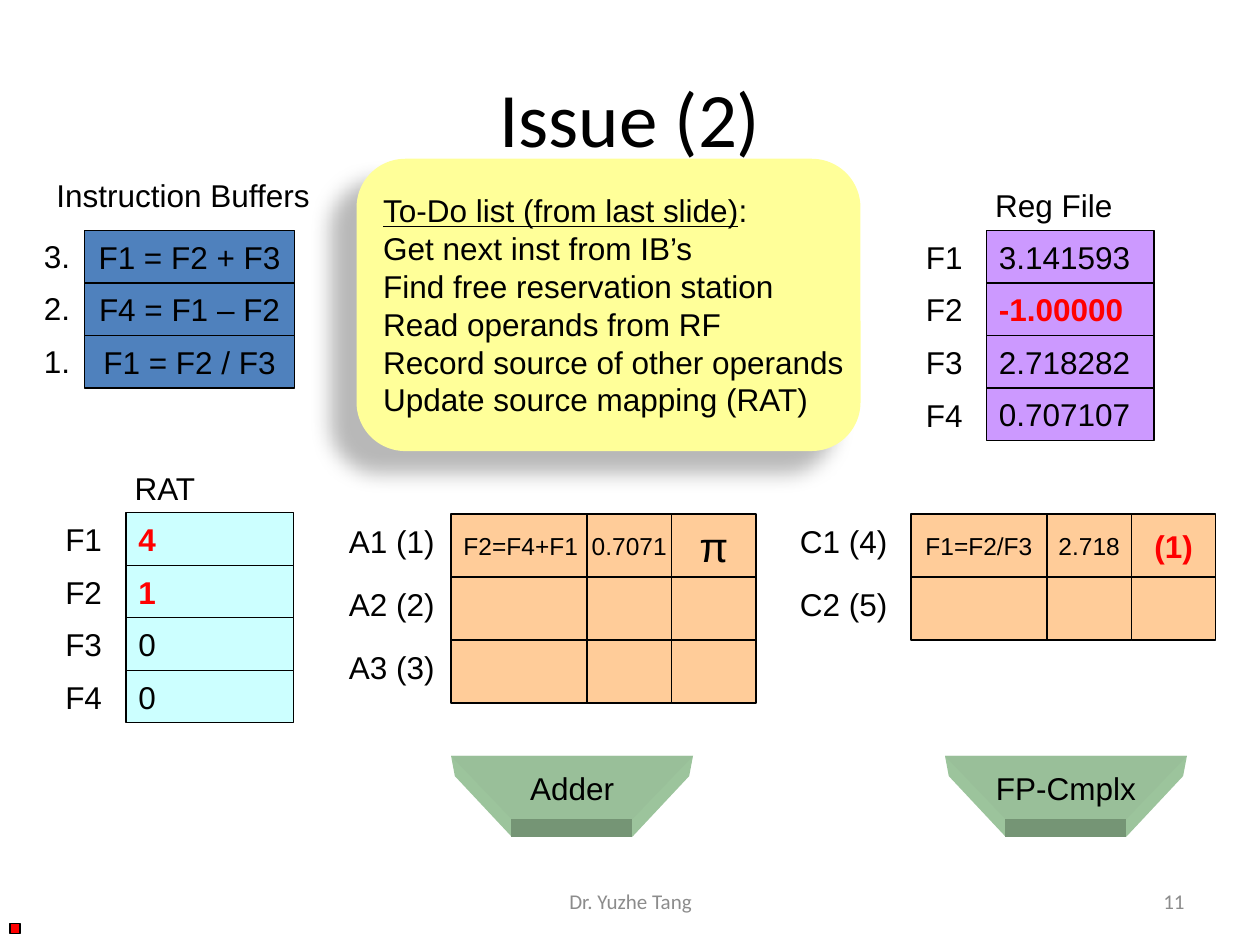
from dataclasses import dataclass

import pptx
import pptx.dml.color
import pptx.enum.shapes
import pptx.enum.text
import pptx.oxml
import pptx.oxml.ns
import pptx.util
from pptx.util import Inches

COLORS = {
    "black": "000000", "red": "FF0000", "grey": "8C8C8C",
    "buffer": "4F81BD", "rat": "CCFFFF", "station": "FFCC99", "register": "CC99FF",
    "note": "FFFF99", "unit": "99BF99", "unit_side": "9CC49C", "unit_base": "759575",
}
ALIGN = pptx.enum.text.PP_ALIGN
ANCHOR = pptx.enum.text.MSO_ANCHOR
RECTANGLE = pptx.enum.shapes.MSO_SHAPE.RECTANGLE
ROUNDED = pptx.enum.shapes.MSO_SHAPE.ROUNDED_RECTANGLE
ROW_HEIGHT = 5 / 12
STATION_HEIGHT = 0.5
STATION_COLUMNS = ((0, 1.08), (1.08, 0.67), (1.75, 0.67))
SHADOW = (
    '<a:effectLst xmlns:a="http://schemas.openxmlformats.org/drawingml/2006/main">'
    '<a:outerShdw blurRad="149860" dist="250190" dir="8460000" algn="ctr" rotWithShape="0">'
    '<a:srgbClr val="000000"><a:alpha val="28000"/></a:srgbClr>'
    '</a:outerShdw></a:effectLst>'
)


@dataclass
class Text:
    content: str
    size: int = 18
    color: str = "black"
    bold: bool = False
    align: ALIGN = ALIGN.LEFT
    font: str = "Arial"


@dataclass
class Register:
    name: str
    value: str
    changed: bool = False


@dataclass
class Station:
    label: str
    values: tuple = (None, None, None)


def rgb(name: str):
    return pptx.dml.color.RGBColor.from_string(COLORS[name])


def add_run(paragraph, text: Text):
    run = paragraph.add_run()
    run.text = text.content
    formats = {"name": text.font, "size": pptx.util.Pt(text.size), "bold": text.bold}
    for name, value in formats.items():
        setattr(run.font, name, value)
    run.font.color.rgb = rgb(text.color)
    return run


def write(shape, text: Text, wrap: bool = False, anchor=ANCHOR.MIDDLE):
    frame = shape.text_frame
    for name, value in {"word_wrap": wrap, "vertical_anchor": anchor}.items():
        setattr(frame, name, value)
    frame.paragraphs[0].alignment = text.align
    add_run(frame.paragraphs[0], text)


def paint(shape, fill: str, outlined: bool = False):
    shape.shadow.inherit = False
    shape.fill.solid()
    shape.fill.fore_color.rgb = rgb(fill)
    if outlined:
        shape.line.color.rgb = rgb("black")
        shape.line.width = pptx.util.Pt(0.75)
    else:
        shape.line.fill.background()


def add_cell(slide, left: float, top: float, width: float, height: float,
             fill: str, text: Text | None = None):
    shape = slide.shapes.add_shape(
        RECTANGLE, Inches(left), Inches(top), Inches(width), Inches(height))
    paint(shape, fill, outlined=True)
    if text:
        write(shape, text)


def add_label(slide, left: float, top: float, width: float, content: str):
    box = slide.shapes.add_textbox(Inches(left), Inches(top), Inches(width), Inches(0.4))
    write(box, Text(content), anchor=ANCHOR.TOP)
    box.text_frame.auto_size = pptx.enum.text.MSO_AUTO_SIZE.SHAPE_TO_FIT_TEXT


def add_wrapped_text(slide, left: float, top: float, width: float, height: float, text: Text):
    box = slide.shapes.add_textbox(Inches(left), Inches(top), Inches(width), Inches(height))
    write(box, text, wrap=True)


def add_registers(slide, left: float, top: float, label_left: float, fill: str,
                  registers: list[Register]):
    for index, register in enumerate(registers):
        row_top = top + index * ROW_HEIGHT
        color = "red" if register.changed else "black"
        add_cell(slide, left, row_top, 1.33, ROW_HEIGHT, fill,
                 Text(register.value, color=color, bold=register.changed))
        add_label(slide, label_left, row_top + 0.01, 0.5, register.name)


def add_stations(slide, left: float, label_left: float, label_width: float,
                 stations: list[Station]):
    for index, station in enumerate(stations):
        top = 4.08 + index * STATION_HEIGHT
        add_label(slide, label_left, top + 0.01, label_width, station.label)
        for (offset, width), text in zip(STATION_COLUMNS, station.values):
            add_cell(slide, left + offset, top, width, STATION_HEIGHT, "station", text)


def add_polygon(slide, points: list[tuple[float, float]], fill: str):
    corners = [(Inches(x), Inches(y)) for x, y in points]
    builder = slide.shapes.build_freeform(*corners[0], scale=1.0)
    builder.add_line_segments(corners[1:], close=True)
    shape = builder.convert_to_shape()
    paint(shape, fill)
    return shape


def add_unit(slide, left: float, name: str):
    """Draw a trapezoid functional unit with some depth below it."""
    top, bottom, base, right = 6, 6.5, 6.64, left + 1.92
    inner_left, inner_right = left + 0.48, right - 0.48
    add_polygon(slide, [(left, top), (right, top), (right - 0.03, 6.16), (inner_right, base),
                        (inner_left, base), (left + 0.03, 6.16)], "unit_side")
    add_polygon(slide, [(inner_left, bottom), (inner_right, bottom),
                        (inner_right, base), (inner_left, base)], "unit_base")
    face = add_polygon(slide, [(left, top), (inner_left, bottom),
                               (inner_right, bottom), (right, top)], "unit")
    write(face, Text(name, align=ALIGN.CENTER))


def add_note(slide, heading: str, items: list[str]):
    note = slide.shapes.add_shape(
        ROUNDED, Inches(2.83), Inches(1.26), Inches(4), Inches(2.32))
    note.adjustments[0] = 0.167
    paint(note, "note")
    properties = note._element.spPr
    properties.remove(properties.find(pptx.oxml.ns.qn("a:effectLst")))
    properties.append(pptx.oxml.parse_xml(SHADOW))
    write(note, Text(heading))
    first = note.text_frame.paragraphs[0]
    first.runs[0].font.underline = True
    add_run(first, Text(":"))
    for item in items:
        paragraph = note.text_frame.add_paragraph()
        paragraph.alignment = ALIGN.LEFT
        add_run(paragraph, Text(item))


def main():
    presentation = pptx.Presentation()
    presentation.slide_width, presentation.slide_height = Inches(10), Inches(7.5)
    slide = presentation.slides.add_slide(presentation.slide_layouts[6])
    center = ALIGN.CENTER

    add_wrapped_text(slide, 0.5, 0.3, 9, 1.25,
                     Text("Issue (2)", 44, align=center, font="Calibri"))

    add_label(slide, 0.35, 1.35, 2.23, "Instruction Buffers")
    for index, instruction in enumerate(["F1 = F2 + F3", "F4 = F1 – F2", "F1 = F2 / F3"]):
        top = 1.83 + index * ROW_HEIGHT
        add_cell(slide, 0.67, top, 1.67, ROW_HEIGHT, "buffer", Text(instruction, align=center))
        add_label(slide, 0.25, top, 0.41, f"{3 - index}.")

    add_label(slide, 0.97, 3.67, 0.69, "RAT")
    add_registers(slide, 1, 4.07, 0.42, "rat", [
        Register("F1", "4", True), Register("F2", "1", True),
        Register("F3", "0"), Register("F4", "0")])

    add_label(slide, 7.8, 1.43, 1.14, "Reg File")
    add_registers(slide, 7.83, 1.83, 7.25, "register", [
        Register("F1", "3.141593"), Register("F2", "-1.00000", True),
        Register("F3", "2.718282"), Register("F4", "0.707107")])

    add_stations(slide, 3.58, 2.67, 0.89, [
        Station("A1 (1)", (Text("F2=F4+F1", 14), Text("0.7071", 14, align=center),
                           Text("π", 24, align=center))),
        Station("A2 (2)"), Station("A3 (3)")])
    add_stations(slide, 7.23, 6.25, 0.9, [
        Station("C1 (4)", (Text("F1=F2/F3", 14, align=center), Text("2.718", 14, align=center),
                           Text("(1)", color="red", bold=True, align=center))),
        Station("C2 (5)")])

    add_unit(slide, 3.58, "Adder")
    add_unit(slide, 7.5, "FP-Cmplx")
    add_note(slide, "To-Do list (from last slide)", [
        "Get next inst from IB’s", "Find free reservation station", "Read operands from RF",
        "Record source of other operands", "Update source mapping (RAT)"])

    add_cell(slide, 0.08, 7.33, 0.08, 0.08, "red")
    add_wrapped_text(slide, 3.42, 6.95, 3.17, 0.4,
                     Text("Dr. Yuzhe Tang", 12, "grey", align=center, font="Calibri"))
    add_wrapped_text(slide, 7.17, 6.95, 2.33, 0.4,
                     Text("11", 12, "grey", align=ALIGN.RIGHT, font="Calibri"))
    presentation.save("out.pptx")


if __name__ == "__main__":
    main()
